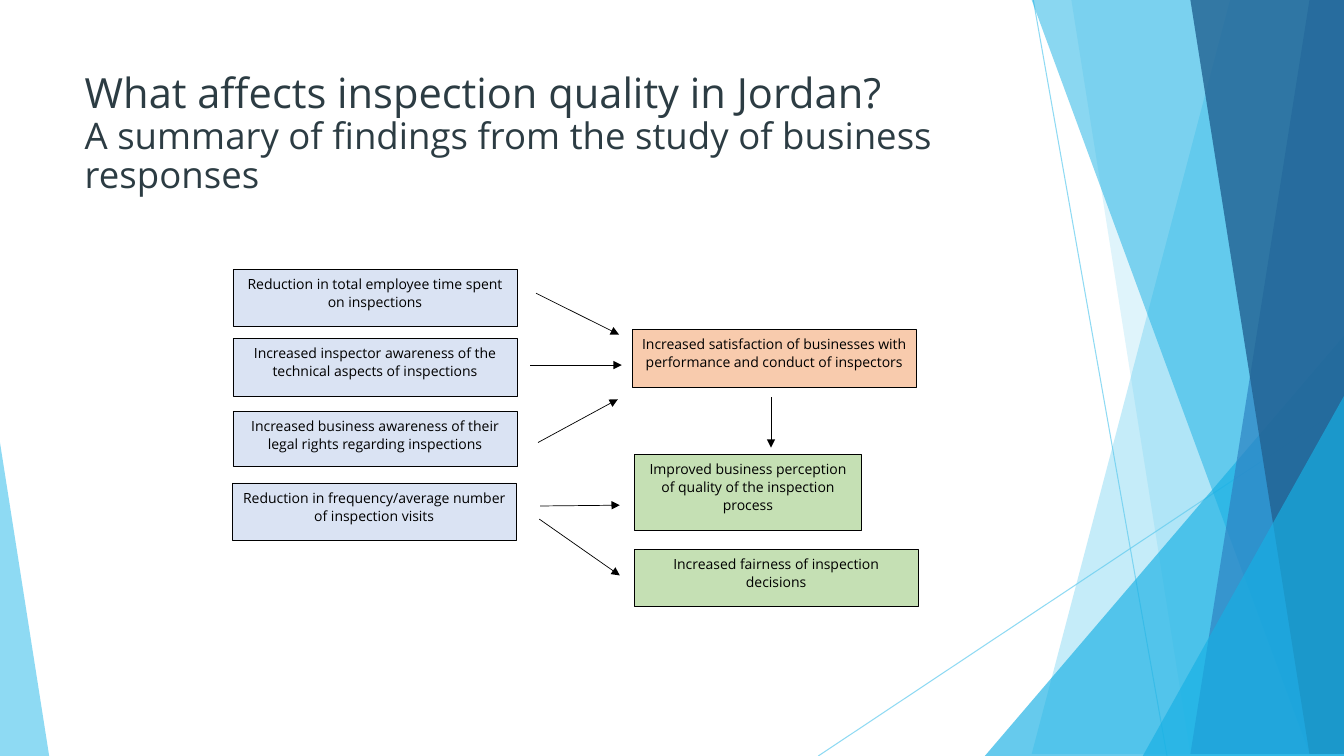
import pptx
import pptx.util
import pptx.dml.color
import pptx.enum.shapes
import pptx.enum.text
import pptx.oxml.ns
import lxml.etree

Cm, Pt = pptx.util.Cm, pptx.util.Pt
kinds = pptx.enum.shapes.MSO_SHAPE
qn = pptx.oxml.ns.qn
wide, high = 33.87, 19.05
hues = {"sky": "5FCBEF", "cyan": "17B0E4", "blue": "2E83C3", "navy": "226292",
        "title": "2C3C43", "black": "000000",
        "cause": "DAE3F3", "link": "F8CBAD", "result": "C5E0B4"}


def paint(fill, hue, alpha=100):
    fill.solid()
    fill.fore_color.rgb = pptx.dml.color.RGBColor.from_string(hues[hue])
    if alpha < 100:
        for tone in fill._xPr.iter(qn("a:srgbClr")):
            lxml.etree.SubElement(tone, qn("a:alpha"), val=str(alpha * 1000))


def draw_line(ends, hue, width, alpha=100):
    line = slide.shapes.add_connector(
        pptx.enum.shapes.MSO_CONNECTOR.STRAIGHT, *map(Cm, ends))
    line.line.width = Pt(width)
    paint(line.line.fill, hue, alpha)
    lxml.etree.SubElement(line._element.spPr, qn("a:effectLst"))
    return line


deck = pptx.Presentation()
deck.slide_width, deck.slide_height = Cm(wide), Cm(high)
slide = deck.slides.add_slide(deck.slide_layouts[5])

for ends in [(26.04, 0, 29.41, high), (wide, 10.24, 20.62, high)]:
    draw_line(ends, "sky", 0.75, 70)

facets = [
    ("band", 31.19, 25.5, "sky", 36),
    ("band", 26.67, 30.05, "sky", 20),
    ("peak", 24.82, 8.46, 9.05, 1, "cyan", 66),
    ("band", 25.93, 32.79, "cyan", 50),
    ("band", 33.1, 30.28, "blue", 70),
    ("band", 30.38, 33.48, "navy", 80),
    ("peak", 28.8, 9.98, 5.07, 1, "cyan", 66),
    ("peak", 0, 11.15, 1.24, 0, "sky", 70),
]
for kind, *data, hue, alpha in facets:
    if kind == "band":
        head, foot = data
        pen = slide.shapes.build_freeform(head, 0, scale=Cm(1))
        pen.add_line_segments([(wide, 0), (wide, high), (foot, high)])
        facet = pen.convert_to_shape()
    else:
        left, top, width, apex = data
        facet = slide.shapes.add_shape(
            kinds.ISOSCELES_TRIANGLE, Cm(left), Cm(top), Cm(width), Cm(high - top))
        facet.adjustments[0] = apex
    facet.shadow.inherit = False
    facet.line.fill.background()
    paint(facet.fill, hue, alpha)

title = slide.shapes.title
place = {"left": Cm(1.88), "top": Cm(1.7), "width": Cm(25.22), "height": Cm(3.66)}
for name, value in place.items():
    setattr(title, name, value)
frame = title.text_frame
setup = {"vertical_anchor": pptx.enum.text.MSO_ANCHOR.TOP, "word_wrap": True,
         "auto_size": pptx.enum.text.MSO_AUTO_SIZE.NONE}
for name, value in setup.items():
    setattr(frame, name, value)
para = frame.paragraphs[0]
para.alignment = pptx.enum.text.PP_ALIGN.LEFT
para.line_spacing = 0.9
parts = [("What affects inspection quality in Jordan?", 29.7),
         ("A summary of findings from the study of business responses", 26.1)]
for rank, (words, size) in enumerate(parts):
    if rank:
        para.add_line_break()
    run = para.add_run()
    run.text = words
    run.font.name, run.font.size = "Open Sans", Pt(size)
    paint(run.font.fill, "title")

boxes = [
    (5.87, 6.78, 7.16, 1.45, "cause",
     "Reduction in total employee time spent on inspections"),
    (5.87, 8.53, 7.16, 1.45, "cause",
     "Increased inspector awareness of the technical aspects of inspections"),
    (5.87, 10.36, 7.16, 1.4, "cause",
     "Increased business awareness of their legal rights regarding inspections"),
    (5.85, 12.17, 7.16, 1.45, "cause",
     "Reduction in frequency/average number of inspection visits"),
    (15.93, 8.31, 7.16, 1.45, "link",
     "Increased satisfaction of businesses with performance and conduct of inspectors"),
    (15.98, 11.46, 5.74, 1.9, "result",
     "Improved business perception of quality of the inspection process"),
    (15.98, 13.84, 7.16, 1.45, "result",
     "Increased fairness of inspection decisions"),
]
style = {"alignment": pptx.enum.text.PP_ALIGN.CENTER,
         "line_spacing": 1.07, "space_after": Pt(8)}
for *area, hue, words in boxes:
    box = slide.shapes.add_shape(kinds.RECTANGLE, *map(Cm, area))
    box.shadow.inherit = False
    paint(box.fill, hue)
    paint(box.line.fill, "black")
    box.line.width = Pt(0.5)
    box.text_frame.text = words
    for name, value in setup.items():
        setattr(box.text_frame, name, value)
    para = box.text_frame.paragraphs[0]
    for name, value in style.items():
        setattr(para, name, value)
    font = para.runs[0].font
    font.name, font.size = "Open Sans", Pt(10)
    paint(font.fill, "black")

arrows = [
    (13.51, 7.39, 15.6, 8.43),
    (13.36, 9.2, 15.67, 9.2),
    (13.56, 11.15, 15.57, 10.06),
    (13.59, 13.08, 15.62, 14.5),
    (19.43, 10.01, 19.43, 11.28),
    (13.61, 12.75, 15.62, 12.73),
]
for ends in arrows:
    arrow = draw_line(ends, "black", 0.5)
    lxml.etree.SubElement(arrow.line._ln, qn("a:tailEnd"), type="triangle")

deck.save("out.pptx")
